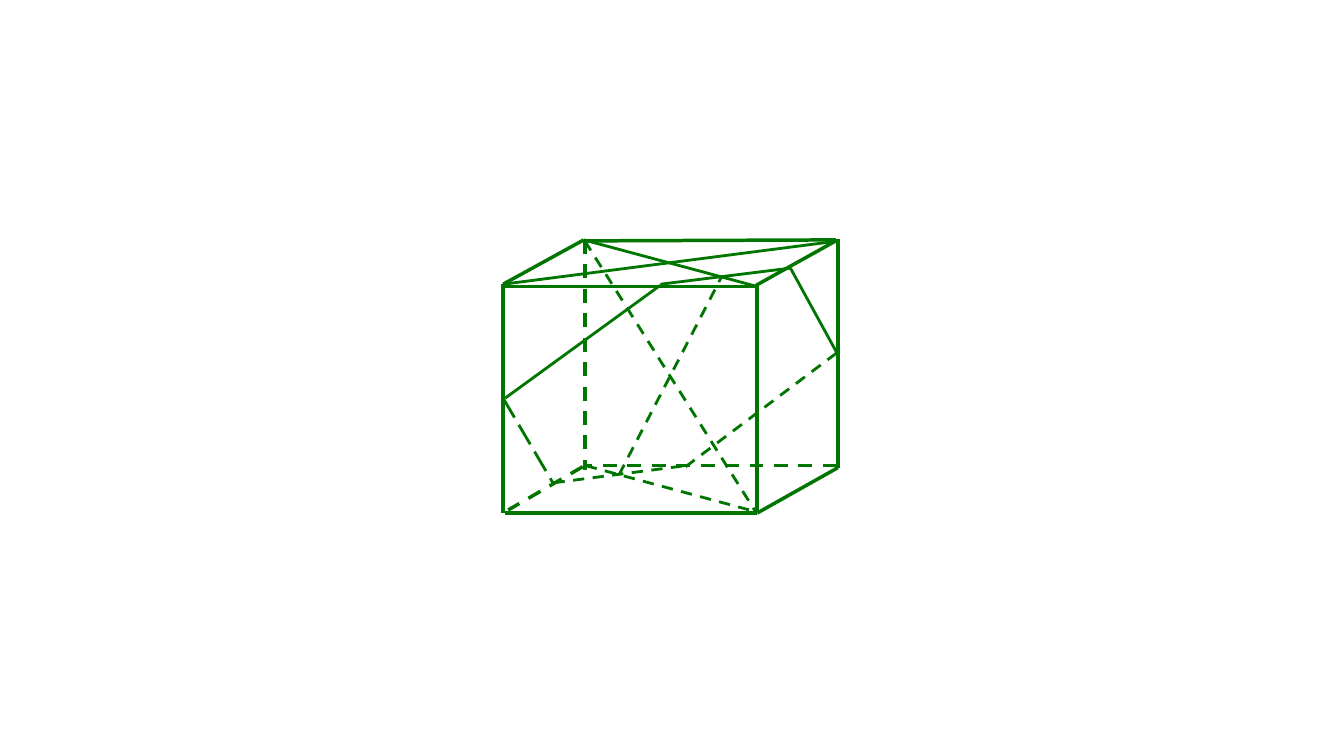
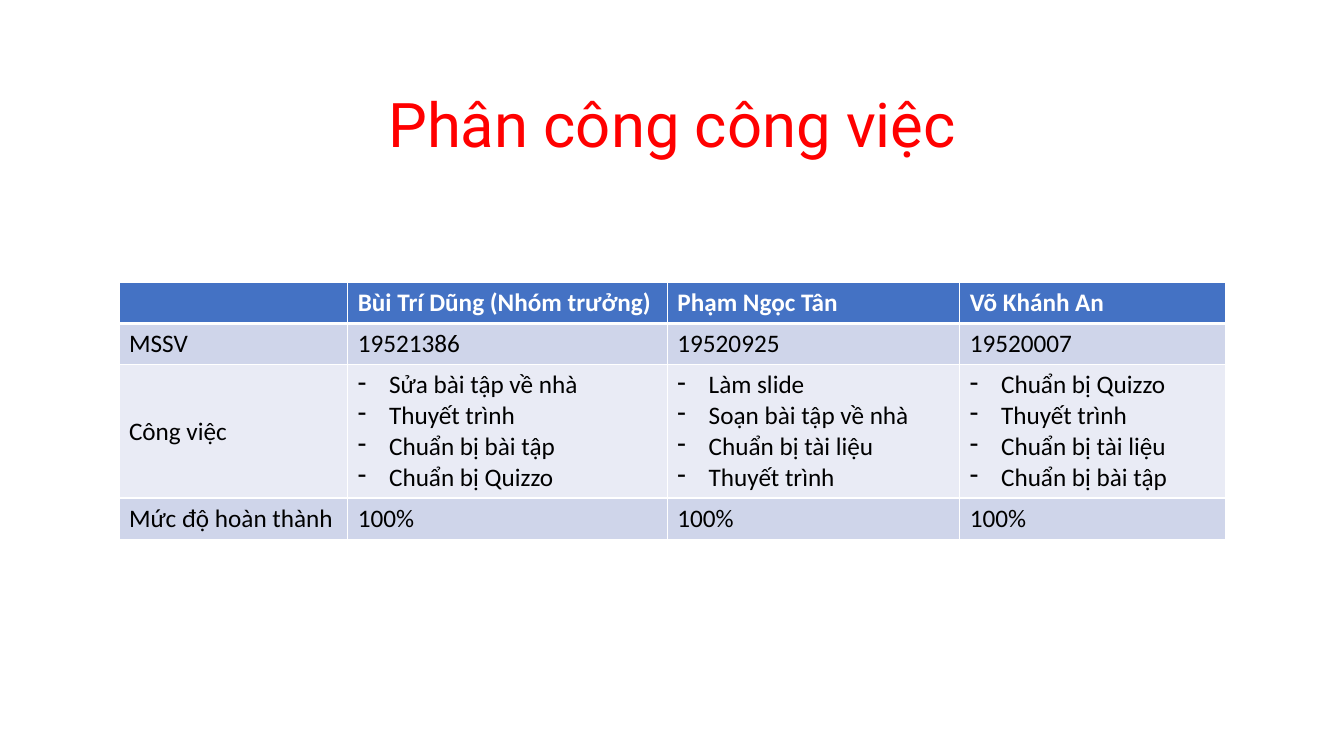
from pptx import Presentation
from pptx.dml.color import RGBColor as RGB
from pptx.enum.dml import MSO_LINE as Dash
from pptx.enum.shapes import MSO_CONNECTOR as Conn
from pptx.enum.text import MSO_ANCHOR as Anchor, PP_ALIGN as Align
from pptx.oxml.ns import qn
from pptx.util import Inches, Pt
from lxml import etree

HUES = {"green": "007500", "red": "FF0000", "head": "4472C4", "dark": "CFD5EA",
        "light": "E9EBF5", "white": "FFFFFF", "black": "000000"}


def style(par, font, size, hue, bold=False):
    for run in par.runs:
        run.font.name = font
        run.font.size = Pt(size)
        run.font.bold = bold
        run.font.color.rgb = RGB.from_string(HUES[hue])


def edge(cell, side, width):
    props = cell._tc.get_or_add_tcPr()
    line = etree.SubElement(props, qn("a:ln" + side), w=str(Pt(width)))
    fill = etree.SubElement(line, qn("a:solidFill"))
    etree.SubElement(fill, qn("a:srgbClr"), val=HUES["white"])


deck = Presentation()
deck.slide_width, deck.slide_height = Inches(13.33), Inches(7.5)

# Slide 1: cube with its diagonals and a hexagonal section
slide = deck.slides.add_slide(deck.slide_layouts[6])
diags = [
    (5.79, 2.38, 7.5, 2.84, None),
    (4.99, 2.82, 8.32, 2.39, None),
    (5.81, 4.62, 7.51, 5.08, Dash.DASH),
    (5.8, 2.39, 7.49, 5.07, Dash.DASH),
    (6.14, 4.71, 7.16, 2.74, Dash.DASH),
]
cube = [
    (7.51, 2.82, 7.51, 5.09, None),
    (4.99, 2.82, 4.99, 5.09, None),
    (8.31, 2.37, 8.31, 4.64, None),
    (8.31, 4.64, 7.51, 5.09, None),
    (7.51, 5.09, 5.01, 5.09, None),
    (7.5, 2.84, 4.99, 2.84, None),
    (5.79, 2.38, 4.99, 2.82, None),
    (8.29, 2.38, 5.79, 2.39, None),
    (8.29, 2.39, 7.5, 2.83, None),
    (5.78, 4.63, 5.04, 5.06, Dash.DASH),
    (8.3, 4.62, 5.8, 4.62, Dash.DASH),
    (5.8, 2.38, 5.8, 4.66, Dash.DASH),
]
section = [
    (4.99, 3.95, 5.49, 4.8, Dash.LONG_DASH),
    (5.01, 3.95, 6.55, 2.83, None),
    (5.49, 4.79, 6.8, 4.62, Dash.DASH),
    (6.8, 4.63, 8.3, 3.5, Dash.DASH),
    (8.3, 3.5, 7.84, 2.66, None),
    (6.55, 2.82, 7.84, 2.66, None),
]
for lines, width, grouped in ((diags, 2, False), (cube, 2.5, True), (section, 2, True)):
    host = slide.shapes.add_group_shape() if grouped else slide
    for *ends, dash in lines:
        line = host.shapes.add_connector(Conn.STRAIGHT, *map(Inches, ends))
        line.line.color.rgb = RGB.from_string(HUES["green"])
        line.line.width = Pt(width)
        if dash:
            line.line.dash_style = dash
        etree.SubElement(line._element.spPr, qn("a:effectLst"))

# Slide 2: title
slide = deck.slides.add_slide(deck.slide_layouts[5])
title = slide.shapes.title
title.left, title.top = Inches(0.92), Inches(0.54)
title.width, title.height = Inches(11.5), Inches(1.45)
title.text_frame.text = "Phân công công việc"
title.text_frame.vertical_anchor = Anchor.MIDDLE
par = title.text_frame.paragraphs[0]
par.alignment = Align.CENTER
par.line_spacing = 0.9
style(par, "Roboto", 44, "red")

# Work table
rows = [
    ["", "Bùi Trí Dũng (Nhóm trưởng)", "Phạm Ngọc Tân", "Võ Khánh An"],
    ["MSSV", "19521386", "19520925", "19520007"],
    ["Công việc",
     "Sửa bài tập về nhà\nThuyết trình\nChuẩn bị bài tập\nChuẩn bị Quizzo",
     "Làm slide\nSoạn bài tập về nhà\nChuẩn bị tài liệu\nThuyết trình",
     "Chuẩn bị Quizzo\nThuyết trình\nChuẩn bị tài liệu\nChuẩn bị bài tập"],
    ["Mức độ hoàn thành", "100%", "100%", "100%"],
]
fills = ["head", "dark", "light", "dark"]
table = slide.shapes.add_table(4, 4, Inches(1.18), Inches(2.8),
                               Inches(10.98), Inches(2.55)).table
for col, width in zip(table.columns, (2.27, 3.17, 2.9, 2.64)):
    col.width = Inches(width)
for row, height in zip(table.rows, (0.41, 0.41, 1.32, 0.41)):
    row.height = Inches(height)

for r, row in enumerate(rows):
    for c, text in enumerate(row):
        cell = table.cell(r, c)
        for side in "LRTB":
            thick = (r, side) in ((0, "B"), (1, "T"))
            edge(cell, side, 3 if thick else 1)
        cell.fill.solid()
        cell.fill.fore_color.rgb = RGB.from_string(HUES[fills[r]])
        cell.text_frame.text = text
        if (r, c) == (2, 0):
            cell.vertical_anchor = Anchor.MIDDLE
        for par in cell.text_frame.paragraphs:
            style(par, "Calibri", 18, "black" if r else "white", r == 0)
            # Dash bullets for the task lists
            if r == 2 and c:
                props = par._p.get_or_add_pPr()
                props.set("marL", str(Inches(0.31)))
                props.set("indent", str(-Inches(0.31)))
                etree.SubElement(props, qn("a:buChar"), char="-")

deck.save("out.pptx")
